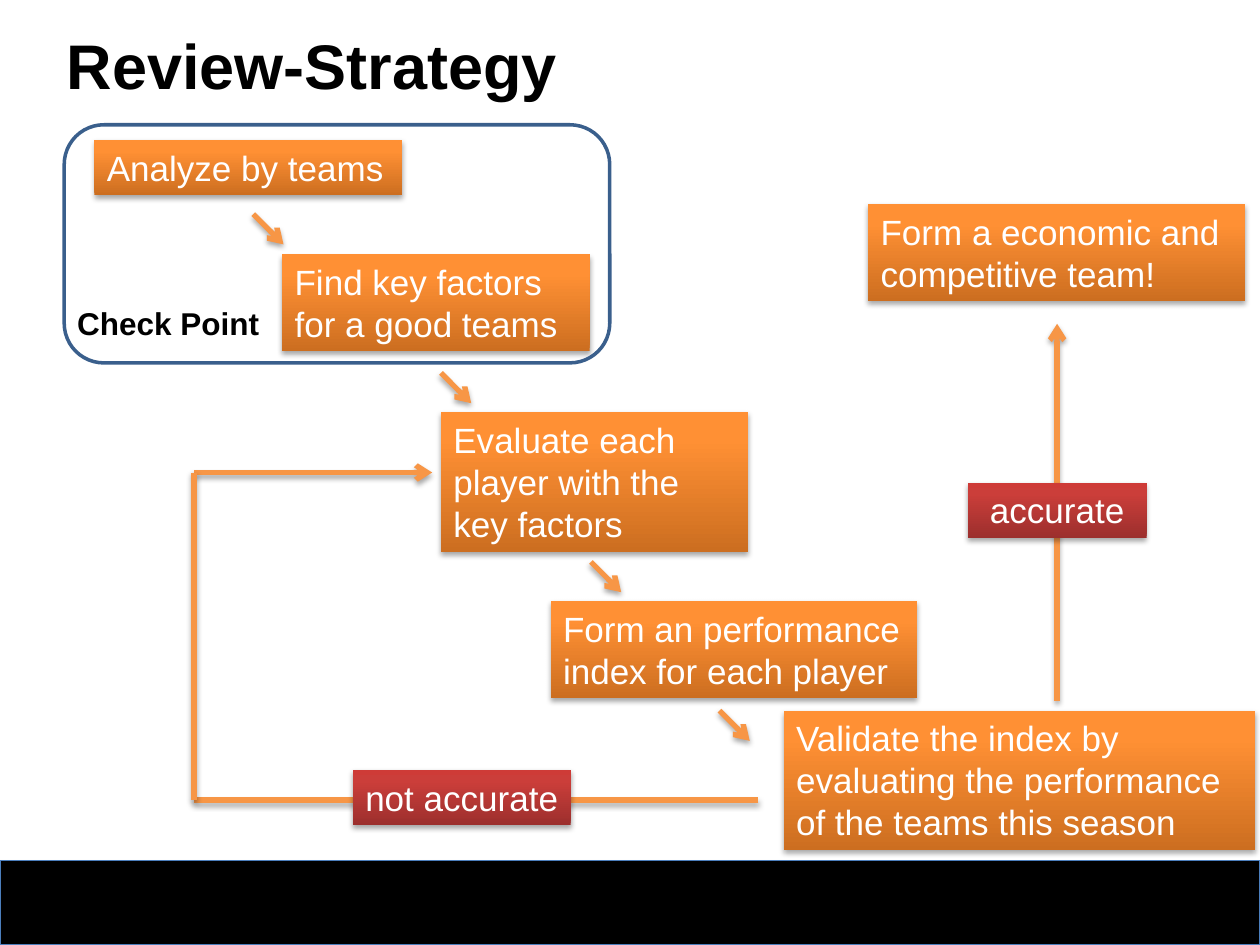
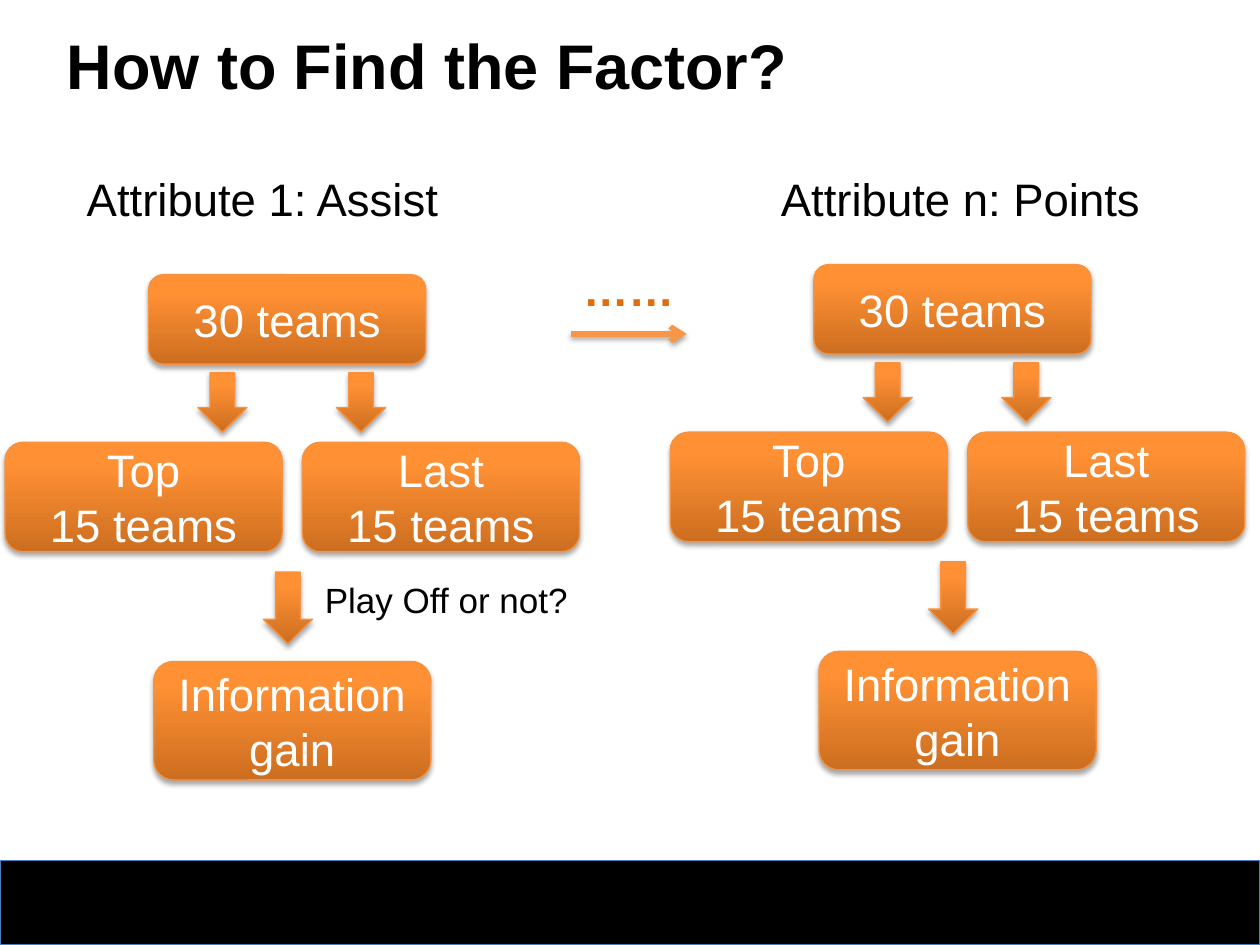
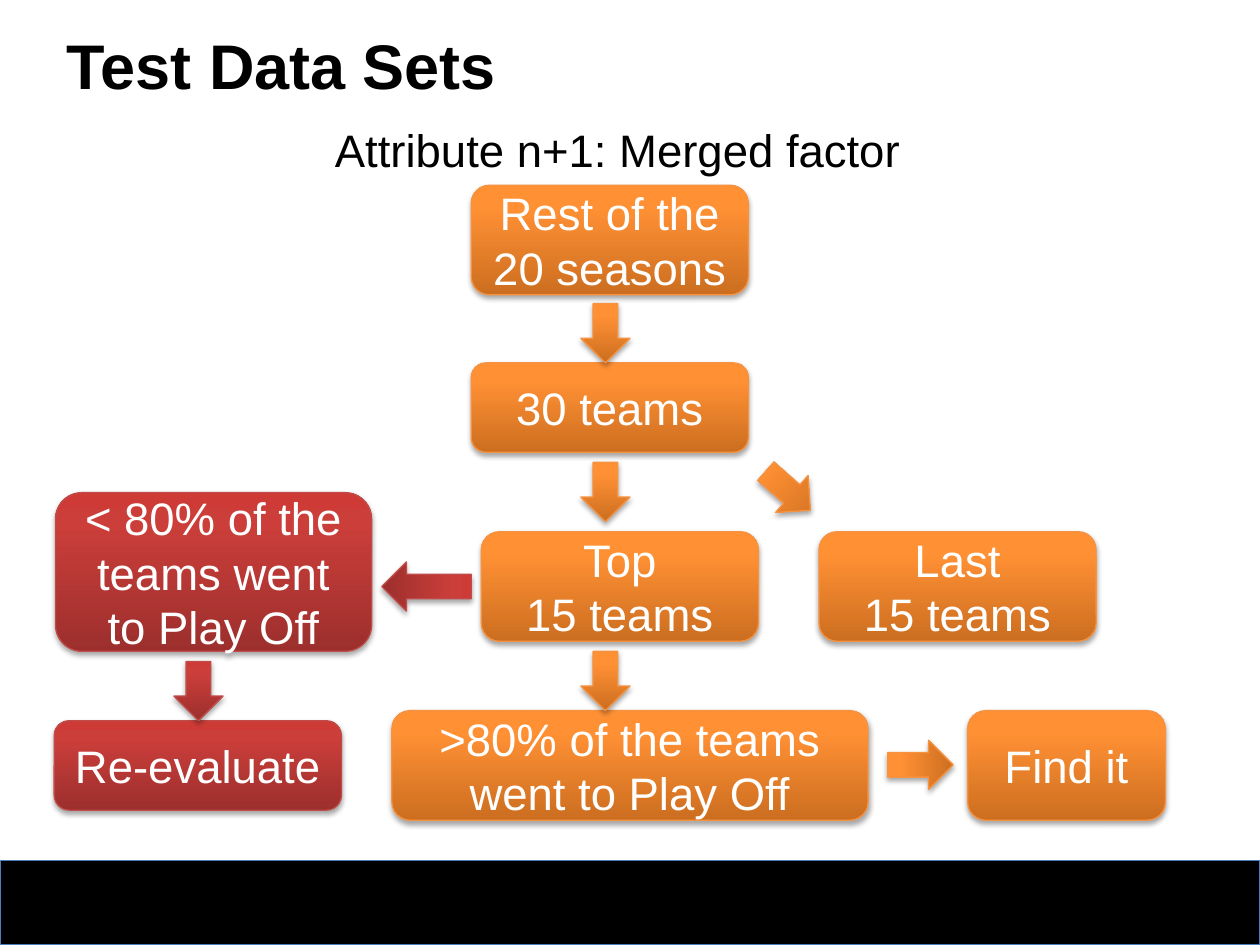
from copy import deepcopy
from pptx import Presentation
from pptx.dml.color import RGBColor
from pptx.enum.shapes import MSO_CONNECTOR, MSO_SHAPE
from pptx.enum.text import MSO_ANCHOR, PP_ALIGN
from pptx.oxml import parse_xml
from pptx.oxml.ns import nsdecls, qn
from pptx.util import Inches, Pt

RECT, ROUND, DOWN = MSO_SHAPE.RECTANGLE, MSO_SHAPE.ROUNDED_RECTANGLE, MSO_SHAPE.DOWN_ARROW
hue = RGBColor.from_string
FONT, BLACK, WHITE = "Arial", "000000", "FFFFFF"
# Gradient stops from bottom to top, then the edge
ORANGE = ("CC6E20", "FF9034", "FF9136", "F69240")
RED = ("9C2F2D", "CB3E3A", "CE3B37", "BF4C48")
SHADE = parse_xml(
    f'<a:effectLst {nsdecls("a")}><a:outerShdw blurRad="39370" dist="22860" dir="5400000" '
    'rotWithShape="0"><a:srgbClr val="000000"><a:alpha val="35000"/></a:srgbClr>'
    '</a:outerShdw></a:effectLst>')


def box(slide, kind, at, text="", tone=None, size=26, ink=BLACK, bold=False, turn=0, align=None):
    """Add a shape, or a text box when kind is None; a tone brings gradient and shadow."""
    place = [Inches(n) for n in at]
    if kind is None:
        shape = slide.shapes.add_textbox(*place)
    else:
        shape = slide.shapes.add_shape(kind, *place)
    shape.rotation = turn
    shape.line.fill.background()
    if tone:
        dark, mid, light, edge = tone
        shape.fill.gradient()
        shape.fill.gradient_angle = 90
        stops = shape.element.spPr.find(".//" + qn("a:gsLst"))
        stops.append(deepcopy(stops[-1]))
        for stop, spot, code in zip(shape.fill.gradient_stops, (0, 0.8, 1), (dark, mid, light)):
            stop.position = spot
            stop.color.rgb = hue(code)
        if kind != RECT:
            shape.line.color.rgb = hue(edge)
            shape.line.width = Pt(0.75)
        shape.element.spPr.append(deepcopy(SHADE))
    else:
        shape.fill.background()
        shape.shadow.inherit = False
    if text:
        plain = kind in (None, RECT)
        frame = shape.text_frame
        frame.word_wrap = True
        frame.vertical_anchor = MSO_ANCHOR.TOP if plain else MSO_ANCHOR.MIDDLE
        for i, part in enumerate(text.split("\n")):
            para = frame.add_paragraph() if i else frame.paragraphs[0]
            para.alignment = align or (PP_ALIGN.LEFT if plain else PP_ALIGN.CENTER)
            run = para.add_run()
            run.text = part
            run.font.name, run.font.size, run.font.bold = FONT, Pt(size), bold
            run.font.color.rgb = hue(WHITE if tone else ink)
    return shape


def link(slide, x1, y1, x2, y2, head=True):
    """Draw an orange line, with an arrowhead at its end if head is set."""
    line = slide.shapes.add_connector(MSO_CONNECTOR.STRAIGHT, *map(Inches, (x1, y1, x2, y2)))
    line.line.color.rgb = hue("F79646")
    line.line.width = Pt(3)
    if head:
        line.line._get_or_add_ln().append(parse_xml(f'<a:tailEnd {nsdecls("a")} type="arrow"/>'))
    line._element.spPr.append(deepcopy(SHADE))


deck = Presentation()
deck.slide_width, deck.slide_height = Inches(10), Inches(7.5)
layout = deck.slide_layouts[5]

# Titles
slides = []
for name, width in (("Review-Strategy", 4.88), ("How to Find the Factor?", 6.38),
                    ("Test Data Sets", 6.38)):
    slide = deck.slides.add_slide(layout)
    title = slide.shapes.title
    title.left, title.top, title.width, title.height = map(Inches, (0.43, 0.13, width, 0.76))
    title.text_frame.vertical_anchor = MSO_ANCHOR.MIDDLE
    para = title.text_frame.paragraphs[0]
    para.alignment = PP_ALIGN.LEFT
    run = para.add_run()
    run.text = name
    run.font.name, run.font.size, run.font.bold = FONT, Pt(36), True
    run.font.color.rgb = hue(BLACK)
    slides.append(slide)
plan, factor, test = slides

# The black band belongs to the layout, behind everything
band = plan.shapes.add_shape(RECT, *map(Inches, (0, 6.83, 10, 0.67)))
band.fill.solid()
band.fill.fore_color.rgb = hue(BLACK)
band.line.color.rgb = hue("4B7EBC")
band.line.width = Pt(0.75)
band.element.spPr.append(deepcopy(SHADE))
layout.shapes.element.insert(2, band.element)

# Slide 1: strategy steps
for at, text in (
    ((0.75, 1.11, 2.44, 0.44), "Analyze by teams"),
    ((2.24, 2.02, 2.44, 0.77), "Find key factors for a good teams"),
    ((3.5, 3.27, 2.44, 1.11), "Evaluate each player with the key factors"),
    ((4.37, 4.77, 2.91, 0.77), "Form an performance index for each player"),
    ((6.22, 5.64, 3.74, 1.11),
     "Validate the index by evaluating the performance of the teams this season"),
    ((6.89, 1.62, 2.99, 0.77), "Form a economic and competitive team!"),
):
    box(plan, RECT, at, text, ORANGE, 20)
for x, y in ((2.01, 1.7), (3.5, 2.96), (4.69, 4.46), (5.71, 5.64)):
    link(plan, x, y, x + 0.24, y + 0.24)
link(plan, 6.02, 6.35, 1.54, 6.35, head=False)
link(plan, 1.54, 3.75, 3.43, 3.75)
link(plan, 1.54, 3.75, 1.54, 6.35, head=False)
link(plan, 8.39, 5.56, 8.39, 2.57)
for at, text in (((2.8, 6.11, 1.73, 0.44), "not accurate"), ((7.68, 3.83, 1.42, 0.44), "accurate")):
    box(plan, RECT, at, text, RED, 20, align=PP_ALIGN.CENTER)
check = box(plan, ROUND, (0.51, 0.99, 4.33, 1.89))
check.line.color.rgb = hue("3A5F8C")
check.line.width = Pt(2)
box(plan, ROUND, (0.43, 2.33, 1.81, 0.47), "Check Point", size=18, bold=True)

# Slide 2: the same tree for the first and the last attribute
box(factor, None, (0.59, 1.31, 3.07, 0.54), "Attribute 1: Assist")
box(factor, None, (6.1, 1.31, 3.07, 0.54), "Attribute n: Points")
box(factor, None, (4.53, 2.02, 1.02, 0.54), "……", ink="E46C0A", bold=True)
link(factor, 4.53, 2.65, 5.45, 2.65)
box(factor, None, (2.48, 4.54, 2.2, 0.44), "Play Off or not?", size=20)
for dx, dy in ((0, 0), (5.28, -0.08)):
    for kind, x, y, w, h, text in (
        (ROUND, 1.18, 2.18, 2.2, 0.71, "30 teams"),
        (DOWN, 1.57, 2.96, 0.39, 0.47, ""),
        (DOWN, 2.67, 2.96, 0.39, 0.47, ""),
        (ROUND, 0.04, 3.51, 2.2, 0.87, "Top\n15 teams"),
        (ROUND, 2.4, 3.51, 2.2, 0.87, "Last\n15 teams"),
        (DOWN, 2.09, 4.54, 0.39, 0.57, ""),
        (ROUND, 1.22, 5.25, 2.2, 0.94, "Information gain"),
    ):
        box(factor, kind, (x + dx, y + dy, w, h), text, ORANGE)

# Slide 3: test flow
box(test, None, (2.56, 0.92, 5.04, 0.54), "Attribute n+1: Merged factor")
for at, text, tone in (
    ((3.74, 1.47, 2.2, 0.87), "Rest of the 20 seasons", ORANGE),
    ((3.74, 2.88, 2.2, 0.71), "30 teams", ORANGE),
    ((3.82, 4.22, 2.2, 0.87), "Top\n15 teams", ORANGE),
    ((6.5, 4.22, 2.2, 0.87), "Last\n15 teams", ORANGE),
    ((3.11, 5.64, 3.78, 0.87), ">80% of the teams went to Play Off", ORANGE),
    ((7.68, 5.64, 1.57, 0.87), "Find it", ORANGE),
    ((0.44, 3.91, 2.51, 1.26), "< 80% of the teams went to Play Off", RED),
    ((0.43, 5.72, 2.28, 0.71), "Re-evaluate", RED),
):
    box(test, ROUND, at, text, tone)
for x, y, h, turn, tone in (
    (4.61, 2.41, 0.47, 0, ORANGE),
    (4.61, 3.67, 0.47, 0, ORANGE),
    (4.61, 5.17, 0.47, 0, ORANGE),
    (6.06, 3.66, 0.47, 311.3, ORANGE),
    (7.11, 5.81, 0.52, 270, ORANGE),
    (3.19, 4.3, 0.71, 90, RED),
    (1.38, 5.25, 0.47, 0, RED),
):
    box(test, DOWN, (x, y, 0.39, h), tone=tone, turn=turn)

deck.save("out.pptx")
